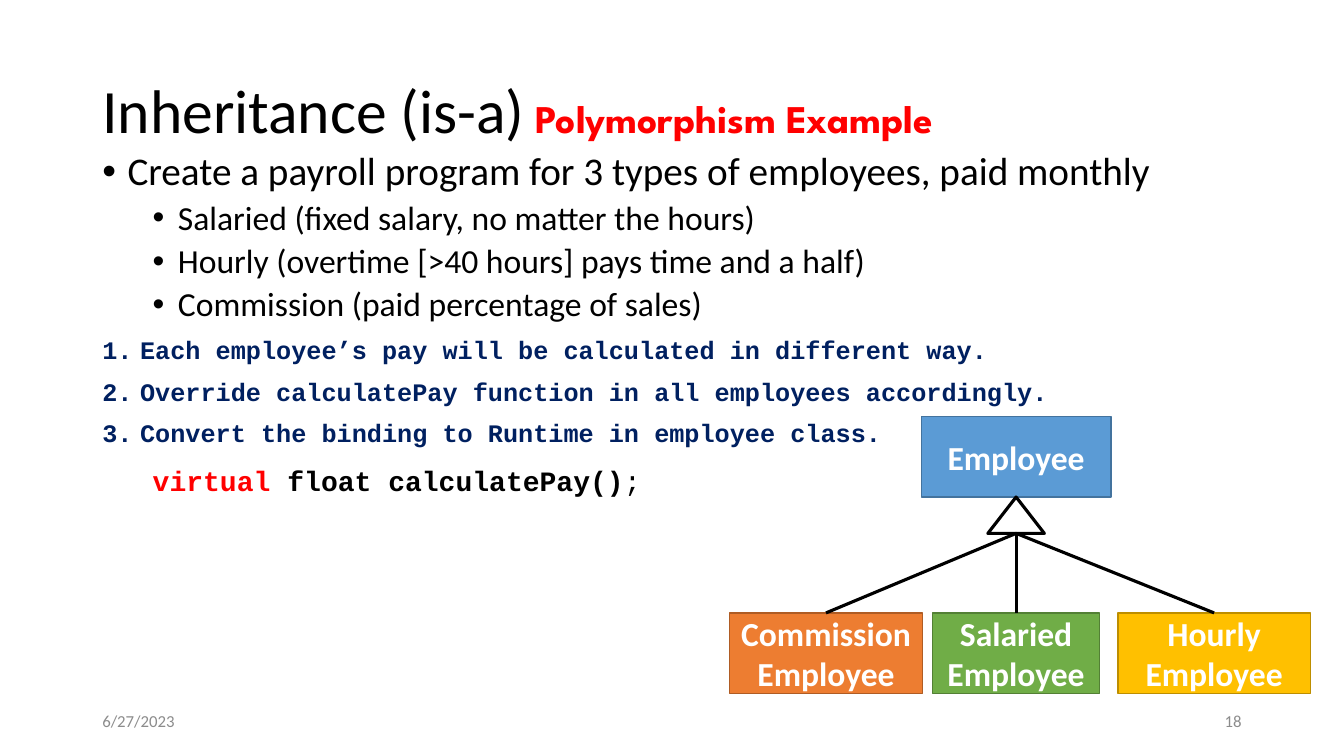
from lxml.etree import SubElement
from pptx import Presentation
from pptx.dml.color import RGBColor as RGB
from pptx.enum.shapes import MSO_CONNECTOR as CONN, MSO_SHAPE as SHAPE
from pptx.enum.text import MSO_ANCHOR as ANCHOR, PP_ALIGN as ALIGN
from pptx.oxml.ns import qn
from pptx.util import Pt

COLORS = {
    "black": "000000", "white": "FFFFFF", "red": "FF0000", "navy": "002060", "gray": "8C8C8C",
    "blue": "5B9BD5", "blue_edge": "43739E", "green": "70AD47", "green_edge": "538035",
    "gold": "FFC000", "gold_edge": "BD8E00", "orange": "ED7D31", "orange_edge": "AF5C24",
}


def rgb(name):
    """Return the palette colour of that name."""
    return RGB.from_string(COLORS[name])


def style(p, size, color, font="Calibri", bold=False):
    """Format every run of a paragraph."""
    for r in p.runs:
        style_run(r, size, color, font, bold)


def style_run(r, size, color, font="Calibri", bold=False):
    """Format one run."""
    r.font.size, r.font.name, r.font.bold = Pt(size), font, bold
    r.font.color.rgb = rgb(color)


def add_run(p, text, *look):
    """Append a formatted run to a paragraph."""
    r = p.add_run()
    r.text = text
    style_run(r, *look)


def add_text(s, box, anchor=ANCHOR.TOP):
    """Add a wrapping text box and return its frame."""
    tf = s.shapes.add_textbox(*map(Pt, box)).text_frame
    tf.word_wrap, tf.vertical_anchor = True, anchor
    return tf


def set_list(p, margin, indent, before, level=0, bullet=None):
    """Set indents, spacing and the bullet or number of a list line."""
    p.level, p.line_spacing, p.space_before = level, 0.9, Pt(before)
    pPr = p._p.get_or_add_pPr()
    pPr.set("marL", str(Pt(margin)))
    pPr.set("indent", str(Pt(indent)))
    if bullet == "number":
        SubElement(pPr, qn("a:buAutoNum"), type="arabicPeriod")
    elif bullet:
        SubElement(pPr, qn("a:buFont"), typeface="Arial")
        SubElement(pPr, qn("a:buChar"), char=bullet)


def add_title(s, box):
    """Place the two-tone title."""
    p = add_text(s, box, ANCHOR.MIDDLE).paragraphs[0]
    p.line_spacing = 0.9
    add_run(p, "Inheritance (is-a)", 44, "black")
    add_run(p, " Polymorphism Example", 28, "red", "League Spartan", True)


def add_body(s, box):
    """Place the task, the employee types, the steps and the code line."""
    tf = add_text(s, box)
    task = tf.paragraphs[0]
    task.text = "Create a payroll program for 3 types of employees, paid monthly"
    set_list(task, 18, -18, 10, bullet="•")
    style(task, 28, "black")
    for text in ("Salaried (fixed salary, no matter the hours)",
                 "Hourly (overtime [>40 hours] pays time and a half)",
                 "Commission (paid percentage of sales)"):
        p = tf.add_paragraph()
        p.text = text
        set_list(p, 54, -18, 5, 1, "•")
        style(p, 24, "black")
    for text in ("Each employee’s pay will be calculated in different way.",
                 "Override calculatePay function in all employees accordingly.",
                 "Convert the binding to Runtime in employee class."):
        p = tf.add_paragraph()
        p.text = text
        set_list(p, 27, -27, 10, bullet="number")
        style(p, 18, "navy", "Courier New", True)
    code = tf.add_paragraph()
    set_list(code, 36, 0, 14, 1)
    for text, color, bold in (("virtual", "red", True),
                              (" float calculatePay()", "black", True),
                              (";", "black", False)):
        add_run(code, text, 20, color, "Courier New", bold)


def add_footer(s, box):
    """Place the date at the left end and the slide number at the right."""
    x, y, w, h = box
    part = 216
    for left, text, align in ((x, "6/27/2023", ALIGN.LEFT), (x + w - part, "18", ALIGN.RIGHT)):
        p = add_text(s, (left, y, part, h), ANCHOR.MIDDLE).paragraphs[0]
        p.text, p.alignment = text, align
        style(p, 12, "gray")


def add_filled(s, kind, box, fill, edge, weight):
    """Add a flat shape with a fill and an outline."""
    sp = s.shapes.add_shape(kind, *map(Pt, box))
    sp.shadow.inherit = False
    sp.fill.solid()
    sp.fill.fore_color.rgb = rgb(fill)
    sp.line.color.rgb = rgb(edge)
    sp.line.width = Pt(weight)
    return sp


def add_class(s, box, text, color):
    """Add a labelled class box."""
    tf = add_filled(s, SHAPE.RECTANGLE, box, color, color + "_edge", 1).text_frame
    tf.word_wrap, tf.vertical_anchor = True, ANCHOR.MIDDLE
    tf.text = text
    for p in tf.paragraphs:
        p.alignment = ALIGN.CENTER
        style(p, 24, "white", bold=True)


def add_link(s, start, end):
    """Draw a plain black line between two points."""
    cxn = s.shapes.add_connector(CONN.STRAIGHT, *map(Pt, start + end))
    cxn.line.color.rgb = rgb("black")
    cxn.line.width = Pt(2.25)
    SubElement(cxn._element.spPr, qn("a:effectLst"))


def add_hierarchy(s, box):
    """Draw the base class, the inheritance arrow and the derived classes."""
    x, y, w, h = box
    class_h, base_w, tip_w, tip_h = 57.6, 135.4, 40.4, 26
    mid, tip_y, row_y = x + 204.5, y + class_h, y + h - class_h
    add_class(s, (mid - base_w / 2, y, base_w, class_h), "Employee", "blue")
    add_filled(s, SHAPE.ISOSCELES_TRIANGLE, (mid - tip_w / 2, tip_y, tip_w, tip_h),
               "white", "black", 2.25)
    side_w, mid_w = 137.5, 119.5
    for left, width, text, color in (
            (x, side_w, "Commission\nEmployee", "orange"),
            (mid - mid_w / 2, mid_w, "Salaried Employee", "green"),
            (x + w - side_w, side_w, "Hourly Employee", "gold")):
        add_class(s, (left, row_y, width, class_h), text, color)
        add_link(s, (left + width / 2, row_y), (mid, tip_y + tip_h))


def main():
    """Build and save the slide."""
    prs = Presentation()
    prs.slide_width, prs.slide_height = Pt(960), Pt(540)
    s = prs.slides.add_slide(prs.slide_layouts[6])
    add_title(s, (66, 28.8, 828, 104.4))
    add_body(s, (66, 105, 798.5, 395))
    add_footer(s, (66, 500.5, 828, 28.8))
    add_hierarchy(s, (521.3, 297.4, 414.7, 198))
    prs.save("out.pptx")


main()
